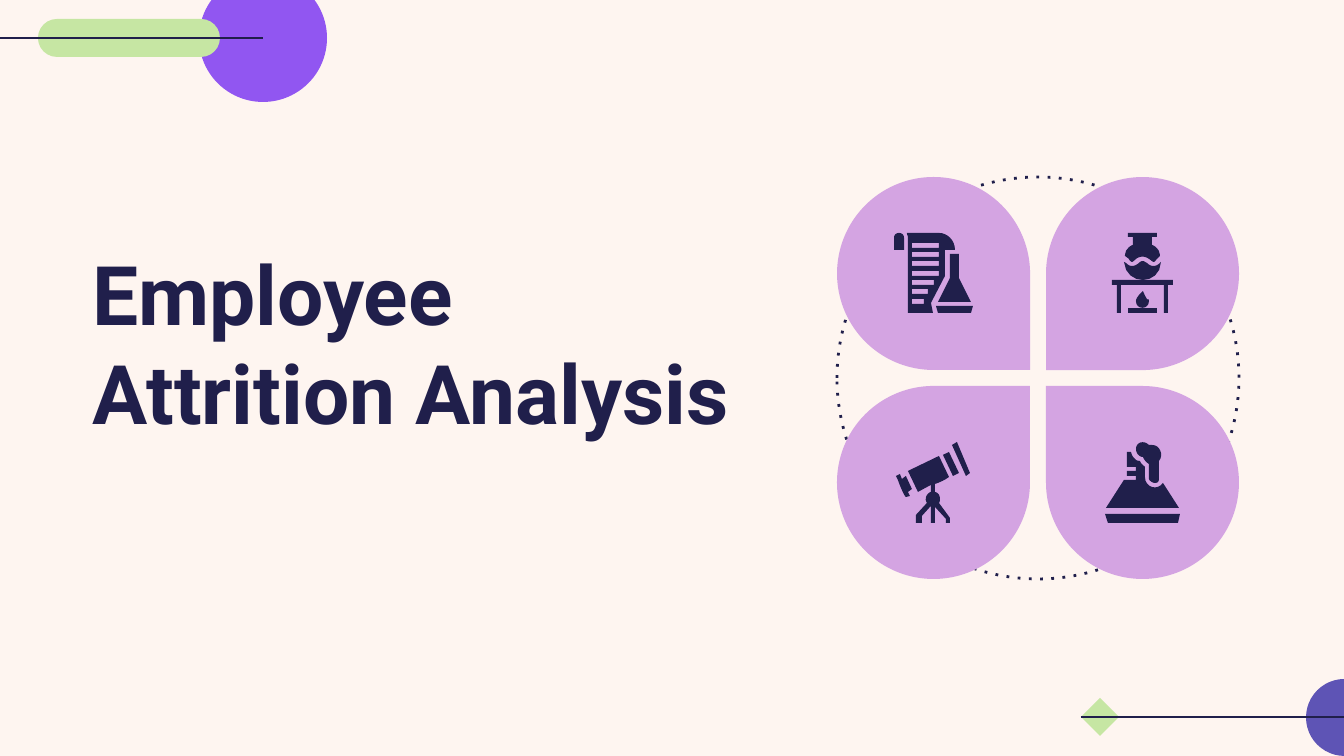
from dataclasses import dataclass

from lxml.etree import SubElement
from pptx import Presentation
from pptx.dml.color import RGBColor
from pptx.enum.dml import MSO_LINE
from pptx.enum.shapes import MSO_CONNECTOR, MSO_SHAPE as Preset
from pptx.enum.text import MSO_ANCHOR, MSO_AUTO_SIZE, PP_ALIGN
from pptx.oxml.ns import qn
from pptx.util import Emu, Pt

EMU_PER_PX = 914400 / 134.4
COLORS = {
    "cream": "FEF5F0", "navy": "201F4B", "violet": "9156F1",
    "indigo": "5E54B5", "green": "C6E6A3", "orchid": "D4A4E2",
}
RING_LEFT, RING_TOP, RING_SIZE = 837, 177, 402
PETAL_SIZE = 193
PETAL_STEP = RING_SIZE - PETAL_SIZE
CURVE_STEPS = 8


@dataclass(frozen=True)
class Ornament:
    preset: Preset
    left: int
    top: int
    width: int
    height: int
    color: str


@dataclass(frozen=True)
class Petal:
    """A teardrop and its icon; each icon part is a list of outlines in px from
    the petal's corner. C takes two control points and an end point."""
    column: int
    row: int
    rotation: int
    icon: list[list[str]]


def box(left: int, top: int, right: int, bottom: int) -> str:
    return f"{left},{top} {right},{top} {right},{bottom} {left},{bottom}"


ORNAMENTS = [
    Ornament(Preset.OVAL, 199, -26, 128, 128, "violet"),
    Ornament(Preset.ROUNDED_RECTANGLE, 38, 19, 182, 38, "green"),
    Ornament(Preset.OVAL, 1306, 679, 77, 77, "indigo"),
    Ornament(Preset.DIAMOND, 1081, 698, 38, 38, "green"),
]
RULES = [(0, 263, 38), (1081, 1383, 717)]

TEXT_LINE_ENDS = [102, 102, 102, 102, 97, 91, 87]
TEXT_LINES = [
    box(75, round(65.5 + 9.4 * i), end, round(65.5 + 9.4 * i) + 5)
    for i, end in enumerate(TEXT_LINE_ENDS)
]
RESEARCH_PAPER = [
    ["62,56 C 59,56 57,58 57,61 57,73 67,73 67,61 C 67,58 65,56 62,56"],
    ["108,99 108,73 118,73 C 118,63 110,56 102,56 70,56 C 70,58 71,59 71,60 "
     "71,136 96,136 94,126", *TEXT_LINES],
    ["99,129 101,136 134,136 136,129"],
    ["113,77 113,101 101,125 134,125 122,101 122,77"],
]
HEATED_FLASK = [
    [box(82, 131, 111, 136)],
    ["66,103 66,108 71,108 71,136 75,136 75,108 118,108 118,136 122,136 "
     "122,108 127,108 127,103"],
    ["86,85 C 87,85 89,83 90,82 C 94,79 99,79 103,82 C 105,83 106,85 108,85 "
     "C 109,85 110,83 111,82 114,79 C 114,77 113,75 113,74 "
     "C 111,71 109,69 106,68 106,60 111,60 111,56 82,56 82,60 87,60 87,68 "
     "C 84,69 82,71 80,74 C 80,75 79,77 79,79 83,82 C 83,83 85,85 86,85"],
    ["115,85 114,86 C 110,90 105,90 101,86 C 99,85 98,84 97,84 "
     "C 95,84 94,85 93,86 C 88,90 84,90 80,86 78,85 C 80,109 114,109 115,85"],
    ["103,124 C 103,121 102,123 101,122 C 99,119 97,114 97,114 "
     "C 97,114 90,120 90,124 C 90,133 103,133 103,124"],
]
TELESCOPE = [
    ["69,90 65,93 63,88 59,90 61,94 C 62,97 67,110 69,111 73,110 71,106 75,103"],
    ["115,59 120,56 133,87 129,90"],
    ["106,69 116,90 122,87 112,66"],
    ["103,113 C 103,110 102,107 98,106 98,98 C 102,97 110,93 112,91 102,70 "
     "71,85 81,106 94,99 94,106 C 90,107 87,113 90,117 79,129 79,137 85,137 "
     "85,130 94,120 94,137 98,137 98,121 109,133 109,137 113,137 113,132 "
     "102,117 C 103,116 103,114 103,113"],
]
SMOKING_FLASK = [
    ["59,128 62,137 132,137 134,128"],
    ["117,97 C 112,105 99,102 99,91 99,81 C 97,79 95,78 94,75 "
     "C 91,75 90,74 89,73 C 86,70 86,69 85,66 81,66 81,81 90,81 90,85 81,85 "
     "81,90 90,90 90,94 78,94 60,122 133,122"],
    ["97,71 C 98,74 101,77 103,78 103,93 C 103,94 106,97 109,97 "
     "C 112,97 113,95 113,93 113,75 C 118,69 114,59 106,59 "
     "C 105,59 103,59 103,59 C 98,54 90,56 90,63 C 90,67 93,71 97,71"],
]
PETALS = [
    Petal(0, 0, 90, RESEARCH_PAPER),
    Petal(1, 0, 180, HEATED_FLASK),
    Petal(0, 1, 0, TELESCOPE),
    Petal(1, 1, 270, SMOKING_FLASK),
]


def px(length: float) -> Emu:
    return Emu(round(length * EMU_PER_PX))


def rgb(name: str) -> RGBColor:
    return RGBColor.from_string(COLORS[name])


def paint(shape, color: str) -> None:
    shape.shadow.inherit = False
    shape.fill.solid()
    shape.fill.fore_color.rgb = rgb(color)
    shape.line.fill.background()


def add_preset(slide, item: Ornament):
    shape = slide.shapes.add_shape(
        item.preset, px(item.left), px(item.top), px(item.width), px(item.height))
    paint(shape, item.color)
    return shape


def add_rule(slide, start: int, end: int, y: int) -> None:
    rule = slide.shapes.add_connector(
        MSO_CONNECTOR.STRAIGHT, px(start), px(y), px(end), px(y))
    rule.line.color.rgb = rgb("navy")
    rule.line.width = Pt(1.5)
    SubElement(rule._element.spPr, qn("a:effectLst"))


def trace(outline: str, left: int, top: int) -> list[tuple[Emu, Emu]]:
    """Turn an outline into slide points, sampling its Bezier curves."""
    tokens = iter(outline.split())

    def point(token: str) -> tuple[int, int]:
        x, y = token.split(",")
        return left + int(x), top + int(y)

    points = []
    for token in tokens:
        if token != "C":
            points.append(point(token))
            continue
        corners = [points[-1]] + [point(next(tokens)) for _ in range(3)]
        for step in range(1, CURVE_STEPS + 1):
            t = step / CURVE_STEPS
            weights = ((1 - t) ** 3, 3 * t * (1 - t) ** 2, 3 * t * t * (1 - t), t ** 3)
            points.append(tuple(
                sum(w * c[axis] for w, c in zip(weights, corners)) for axis in (0, 1)))
    return [(px(x), px(y)) for x, y in points]


def add_icon_part(slide, outlines: list[str], left: int, top: int) -> None:
    first, *holes = [trace(outline, left, top) for outline in outlines]
    builder = slide.shapes.build_freeform(*first[0])
    builder.add_line_segments(first[1:], close=True)
    for hole in holes:
        builder.move_to(*hole[0])
        builder.add_line_segments(hole[1:], close=True)
    paint(builder.convert_to_shape(), "navy")


def add_petal(slide, petal: Petal) -> None:
    left = RING_LEFT + petal.column * PETAL_STEP
    top = RING_TOP + petal.row * PETAL_STEP
    teardrop = add_preset(
        slide, Ornament(Preset.TEAR, left, top, PETAL_SIZE, PETAL_SIZE, "orchid"))
    teardrop.rotation = petal.rotation
    for outlines in petal.icon:
        add_icon_part(slide, outlines, left, top)


def add_ring(slide) -> None:
    ring = add_preset(slide, Ornament(
        Preset.OVAL, RING_LEFT, RING_TOP, RING_SIZE, RING_SIZE, "cream"))
    ring.fill.background()
    ring.line.color.rgb = rgb("navy")
    ring.line.width = Pt(1.5)
    ring.line.dash_style = MSO_LINE.ROUND_DOT
    ring._element.spPr.find(f".//{qn('a:prstDash')}").set("val", "dot")


def format_title(title) -> None:
    title.left, title.top, title.width, title.height = map(px, (79, 141, 710, 313))
    frame = title.text_frame
    frame.text = "Employee Attrition Analysis"
    frame.word_wrap = True
    frame.auto_size = MSO_AUTO_SIZE.NONE
    frame.vertical_anchor = MSO_ANCHOR.BOTTOM
    frame.margin_left = frame.margin_right = px(13)
    frame.margin_top = frame.margin_bottom = px(13)
    heading = frame.paragraphs[0]
    heading.alignment = PP_ALIGN.LEFT
    heading.font.name = "Roboto"
    heading.font.size = Pt(44)
    heading.font.bold = True
    heading.font.color.rgb = rgb("navy")


def main() -> None:
    deck = Presentation()
    deck.slide_width, deck.slide_height = px(1344), px(756)
    slide = deck.slides.add_slide(deck.slide_layouts[5])
    slide.background.fill.solid()
    slide.background.fill.fore_color.rgb = rgb("cream")
    format_title(slide.shapes.title)
    for ornament in ORNAMENTS:
        shape = add_preset(slide, ornament)
        if ornament.preset == Preset.ROUNDED_RECTANGLE:
            shape.adjustments[0] = 0.5
    for rule in RULES:
        add_rule(slide, *rule)
    add_ring(slide)
    for petal in PETALS:
        add_petal(slide, petal)
    deck.save("out.pptx")


if __name__ == "__main__":
    main()
